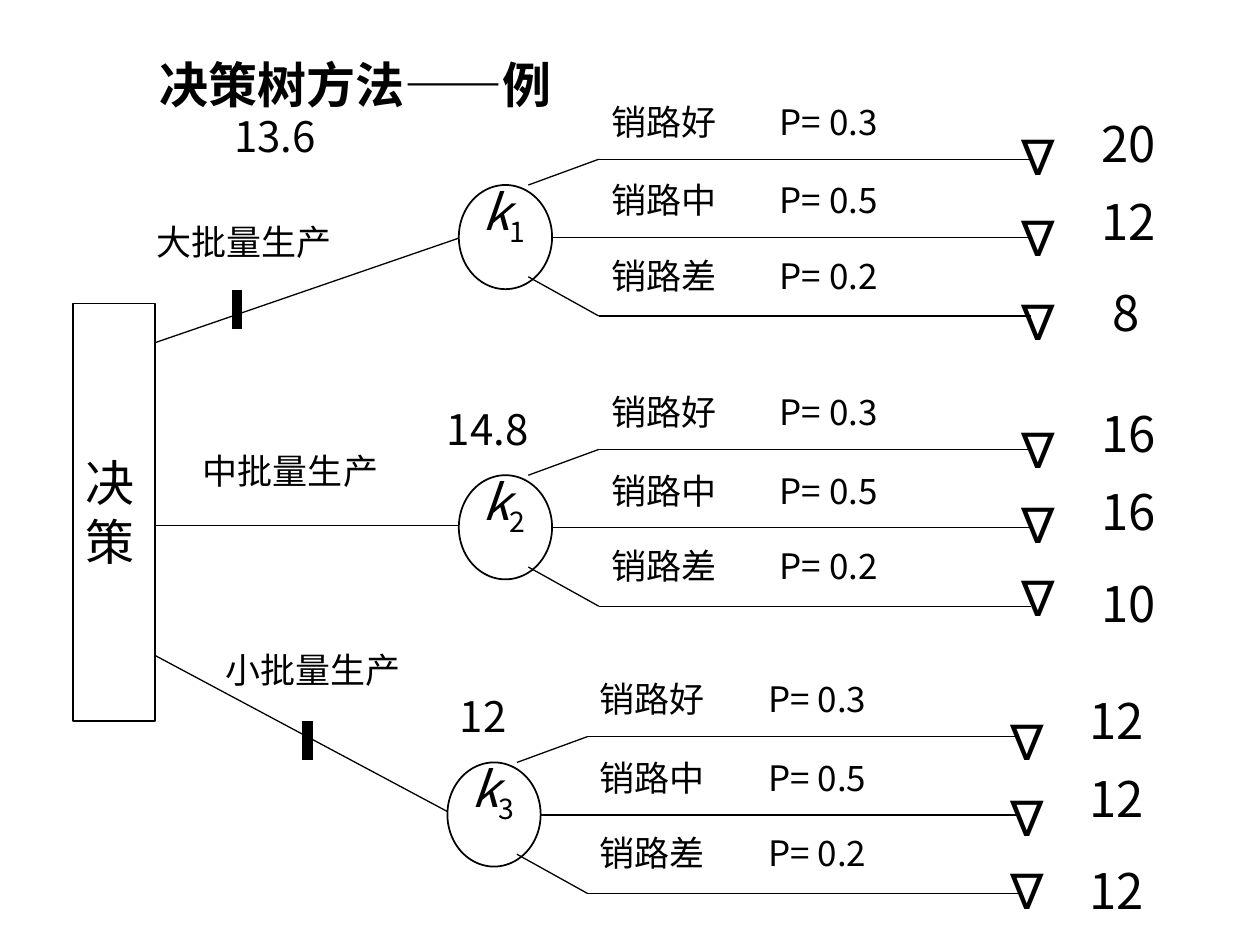
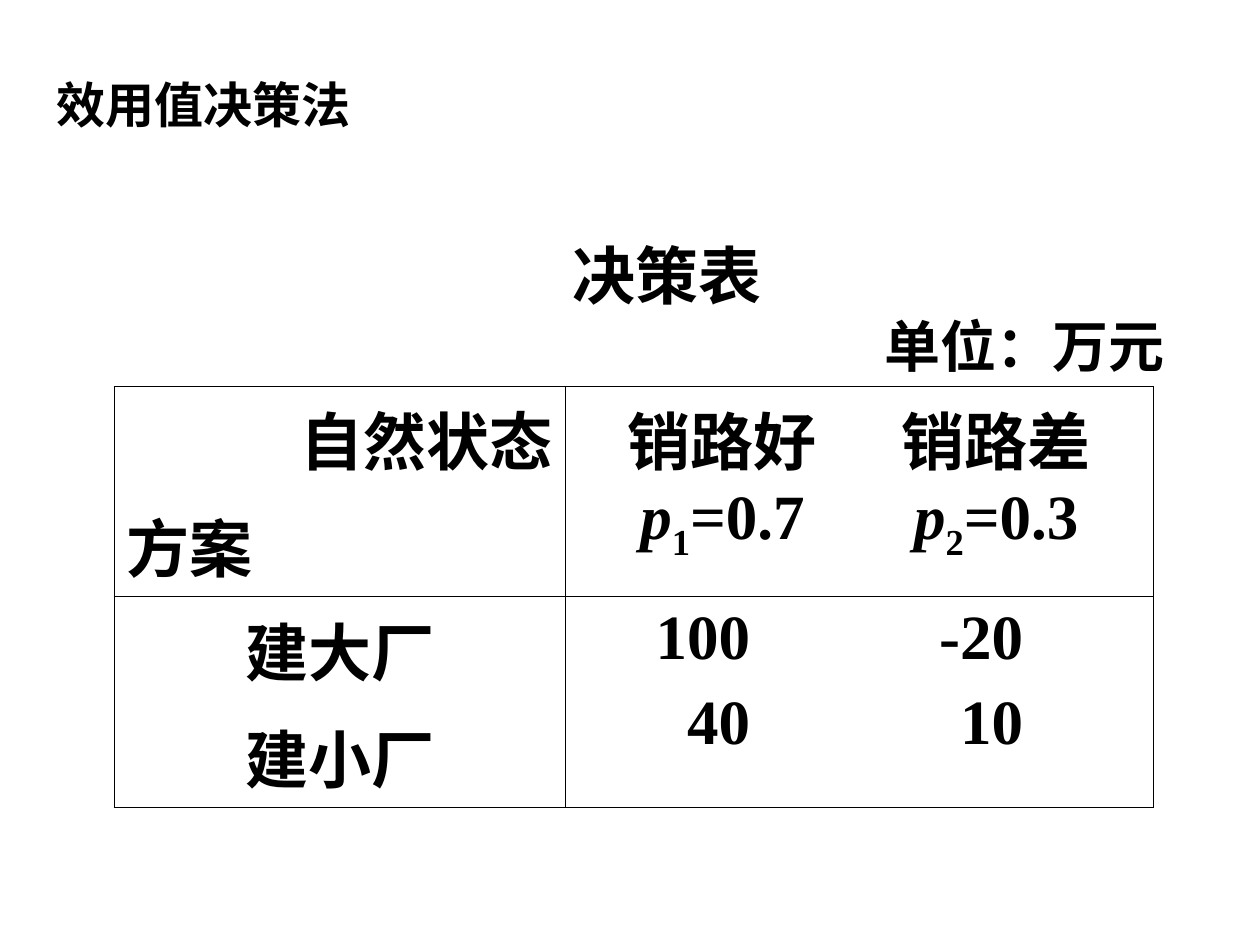
import dataclasses
import typing

import lxml.etree
import pptx
import pptx.dml.color
import pptx.enum.shapes
import pptx.enum.text
import pptx.oxml.ns
import pptx.util

Cm = pptx.util.Cm
Pt = pptx.util.Pt
qn = pptx.oxml.ns.qn
ALIGN = pptx.enum.text.PP_ALIGN
ANCHOR = pptx.enum.text.MSO_ANCHOR
SHAPE = pptx.enum.shapes.MSO_SHAPE

COLOURS = {"ink": "000000", "paper": "FFFFFF"}
HAN = "Noto Sans CJK SC"
ROMAN = "Times New Roman"


class Run(typing.NamedTuple):
    text: str
    slant: bool = False
    sub: bool = False


class Tab(typing.NamedTuple):
    place: float
    kind: str = "l"


@dataclasses.dataclass
class Style:
    size: float
    font: str = HAN
    bold: bool = False
    align: ALIGN = ALIGN.LEFT
    pitch: float = 1.0
    gap: float = 0
    tabs: tuple[Tab, ...] = ()


@dataclasses.dataclass
class Label:
    left: float
    top: float
    width: float
    height: float
    runs: list[Run]
    style: Style


@dataclasses.dataclass
class Branch:
    left: float
    top: float
    name: str
    gains: list[str]
    tips: list[float]  # tops of the end marks


TITLE = Style(28, bold=True)
SMALL = Style(20)
VALUE = Style(24)
LARGE = Style(28)
STATE = Style(20, tabs=(Tab(3.4),))
MARK = Style(32, font="Arial", pitch=0.8)


# Shared text and line helpers
def ink() -> pptx.dml.color.RGBColor:
    return pptx.dml.color.RGBColor.from_string(COLOURS["ink"])


def write(para, runs: list[Run], style: Style, first: bool = True) -> None:
    props = para._p.get_or_add_pPr()
    if style.tabs:
        stops = lxml.etree.SubElement(props, qn("a:tabLst"))
        for tab in style.tabs:
            lxml.etree.SubElement(stops, qn("a:tab"), pos=str(Cm(tab.place)), algn=tab.kind)
    para.alignment = style.align
    para.line_spacing = style.pitch
    para.space_before = Pt(0 if first else style.gap)
    for item in runs:
        run = para.add_run()
        run.text = item.text
        font = run.font
        font.size, font.bold, font.italic = Pt(style.size), style.bold, item.slant
        font.name = style.font
        font.color.rgb = ink()
        east = HAN if style.font == ROMAN else style.font
        lxml.etree.SubElement(font._element, qn("a:ea"), typeface=east)
        if item.sub:
            font._element.set("baseline", "-25000")


def put(slide, label: Label, anchor: ANCHOR = ANCHOR.TOP, wrap: bool = True) -> None:
    box = slide.shapes.add_textbox(
        Cm(label.left), Cm(label.top), Cm(label.width), Cm(label.height))
    body = box.text_frame
    body.word_wrap = wrap
    body.vertical_anchor = anchor
    if not wrap:
        body.auto_size = pptx.enum.text.MSO_AUTO_SIZE.SHAPE_TO_FIT_TEXT
    write(body.paragraphs[0], label.runs, label.style)


def head(slide, left: float, top: float, width: float, height: float, text: str) -> None:
    put(slide, Label(left, top, width, height, [Run(text)], TITLE), ANCHOR.MIDDLE)


def rule(slide, x1: float, y1: float, x2: float, y2: float, weight: float = 0.75) -> None:
    line = slide.shapes.add_connector(
        pptx.enum.shapes.MSO_CONNECTOR.STRAIGHT, Cm(x1), Cm(y1), Cm(x2), Cm(y2))
    line.line.color.rgb = ink()
    line.line.width = Pt(weight)
    lxml.etree.SubElement(line._element.spPr, qn("a:effectLst"))


def frame(slide, kind: SHAPE, left: float, top: float, width: float, height: float) -> None:
    shape = slide.shapes.add_shape(kind, Cm(left), Cm(top), Cm(width), Cm(height))
    shape.shadow.inherit = False
    shape.fill.background()
    shape.line.color.rgb = ink()
    shape.line.width = Pt(1)


def start(deck):
    slide = deck.slides.add_slide(deck.slide_layouts[6])
    slide.background.fill.solid()
    slide.background.fill.fore_color.rgb = pptx.dml.color.RGBColor.from_string(COLOURS["paper"])
    return slide


# Decision tree
STATES = [("销路好", "0.3", -1.83), ("销路中", "0.5", -0.25), ("销路差", "0.2", 1.27)]
GAIN_TOPS = [-1.57, 0, 1.85]
BRANCHES = [
    Branch(9.25, 3.73, "1", ["20", "12", "8"], [2.54, 4.17, 5.87]),
    Branch(9.25, 9.58, "2", ["16", "16", "10"], [8.46, 9.96, 11.43]),
    Branch(9.02, 15.37, "3", ["12", "12", "12"], [14.33, 15.88, 17.35]),
]
STEMS = [(3.12, 6.91, 9.25, 4.8), (3.12, 10.59, 9.25, 10.59), (3.12, 13.21, 9.02, 16.36)]
CUTS = [(4.78, 5.84), (6.2, 14.53)]
CHOICES = [(2.9, 4.32, "大批量生产"), (3.84, 8.94, "中批量生产"), (4.29, 12.95, "小批量生产")]
VALUES = [(4.47, 2.11, "13.6"), (8.76, 8.0, "14.8"), (9.02, 13.79, "12")]


def grow(slide, branch: Branch) -> None:
    x, y = branch.left, branch.top
    fork, end = x + 2.82, x + 11.53
    frame(slide, SHAPE.OVAL, x, y, 1.88, 2.1)
    put(slide, Label(x + 0.23, y - 0.2, 2.6, 1.6,
                     [Run("k", slant=True), Run(branch.name, sub=True)], LARGE))

    # Three rays, the outer two bent
    rays = [y - 0.52 + 1.58 * step for step in range(3)]
    for ray, begin in zip(rays, (fork, x + 1.88, fork)):
        rule(slide, begin, ray, end, ray)
    rule(slide, fork, rays[0], x + 1.4, y)
    rule(slide, fork, rays[2], x + 1.4, y + 1.85)

    # States, end marks and gains
    for (state, odds, drop), gain, fall, tip in zip(STATES, branch.gains, GAIN_TOPS, branch.tips):
        put(slide, Label(fork, y + drop, 9.65, 1.12, [Run(f"{state}\tP= {odds}")], STATE))
        put(slide, Label(x + 11.02, tip, 1.45, 1.35, [Run("∇")], MARK), wrap=False)
        inset = 0.23 if len(gain) == 1 else 0
        put(slide, Label(x + 12.7 + inset, y + fall, 2.1, 1.45, [Run(gain)], LARGE))


def tree(deck) -> None:
    slide = start(deck)
    head(slide, 2.97, 0.64, 20.96, 2.11, "决策树方法——例")
    frame(slide, SHAPE.RECTANGLE, 1.47, 6.12, 1.65, 8.41)
    put(slide, Label(1.47, 9, 1.65, 2.64, [Run("决策")], LARGE))
    for stem in STEMS:
        rule(slide, *stem)
    for x, y in CUTS:
        rule(slide, x, y, x, y + 0.79, 6)
    for x, y, text in CHOICES:
        put(slide, Label(x, y, 5, 1.12, [Run(text)], SMALL))
    for x, y, text in VALUES:
        put(slide, Label(x, y, 2.6, 1.27, [Run(text)], VALUE))
    for branch in BRANCHES:
        grow(slide, branch)


# Decision table
def bold(align: ALIGN = ALIGN.LEFT, gap: float = 9, tabs: tuple[Tab, ...] = ()) -> Style:
    return Style(36, ROMAN, True, align, gap=gap, tabs=tabs)


def odds(index: str, value: str) -> list[Run]:
    return [Run("\t"), Run("p", slant=True), Run(index, sub=True), Run(f"={value}")]


MID = bold(gap=0, tabs=(Tab(2.92, "ctr"), Tab(8.44, "ctr")))
SUMS = bold(tabs=(Tab(3.48, "r"), Tab(8.98, "r")))
CELLS = [
    [
        [([Run("自然状态")], bold(ALIGN.RIGHT)), ([Run("方案")], bold())],
        [([Run("\t销路好\t销路差")], MID), (odds("1", "0.7") + odds("2", "0.3"), MID)],
    ],
    [
        [([Run(plan)], bold(ALIGN.CENTER)) for plan in ("建大厂", "建小厂")],
        [([Run(sums)], SUMS) for sums in ("\t100\t-20", "\t40\t10")],
    ],
]
WIDTHS = (9.09, 11.86)
HEIGHT = 4.24  # of each row


def edge(cell) -> None:
    props = cell._tc.get_or_add_tcPr()
    for spot, side in enumerate(("a:lnL", "a:lnR", "a:lnT", "a:lnB")):
        line = lxml.etree.Element(qn(side), w=str(Pt(0.45)))
        fill = lxml.etree.SubElement(line, qn("a:solidFill"))
        lxml.etree.SubElement(fill, qn("a:srgbClr"), val=COLOURS["ink"])
        props.insert(spot, line)


def table(deck) -> None:
    slide = start(deck)
    head(slide, 0.89, 1.07, 23.27, 2.06, "效用值决策法")
    put(slide, Label(7.94, 4.65, 11, 1.78, [Run("决策表")],
                     Style(36, bold=True, align=ALIGN.CENTER)))
    put(slide, Label(17.58, 6.15, 6.99, 1.6, [Run("单位：万元")], Style(32, bold=True)))

    grid = slide.shapes.add_table(
        2, 2, Cm(2.3), Cm(7.79), Cm(sum(WIDTHS)), Cm(2 * HEIGHT)).table
    grid.first_row = grid.horz_banding = False
    for column, width in zip(grid.columns, WIDTHS):
        column.width = Cm(width)
    for row, line in zip(grid.rows, CELLS):
        row.height = Cm(HEIGHT)
        for cell, paras in zip(row.cells, line):
            cell.fill.background()
            edge(cell)
            body = cell.text_frame
            for spot, (runs, style) in enumerate(paras):
                para = body.add_paragraph() if spot else body.paragraphs[0]
                write(para, runs, style, first=spot == 0)


def main() -> None:
    deck = pptx.Presentation()
    deck.slide_width, deck.slide_height = Cm(25.4), Cm(19.05)
    tree(deck)
    table(deck)
    deck.save("out.pptx")


if __name__ == "__main__":
    main()
